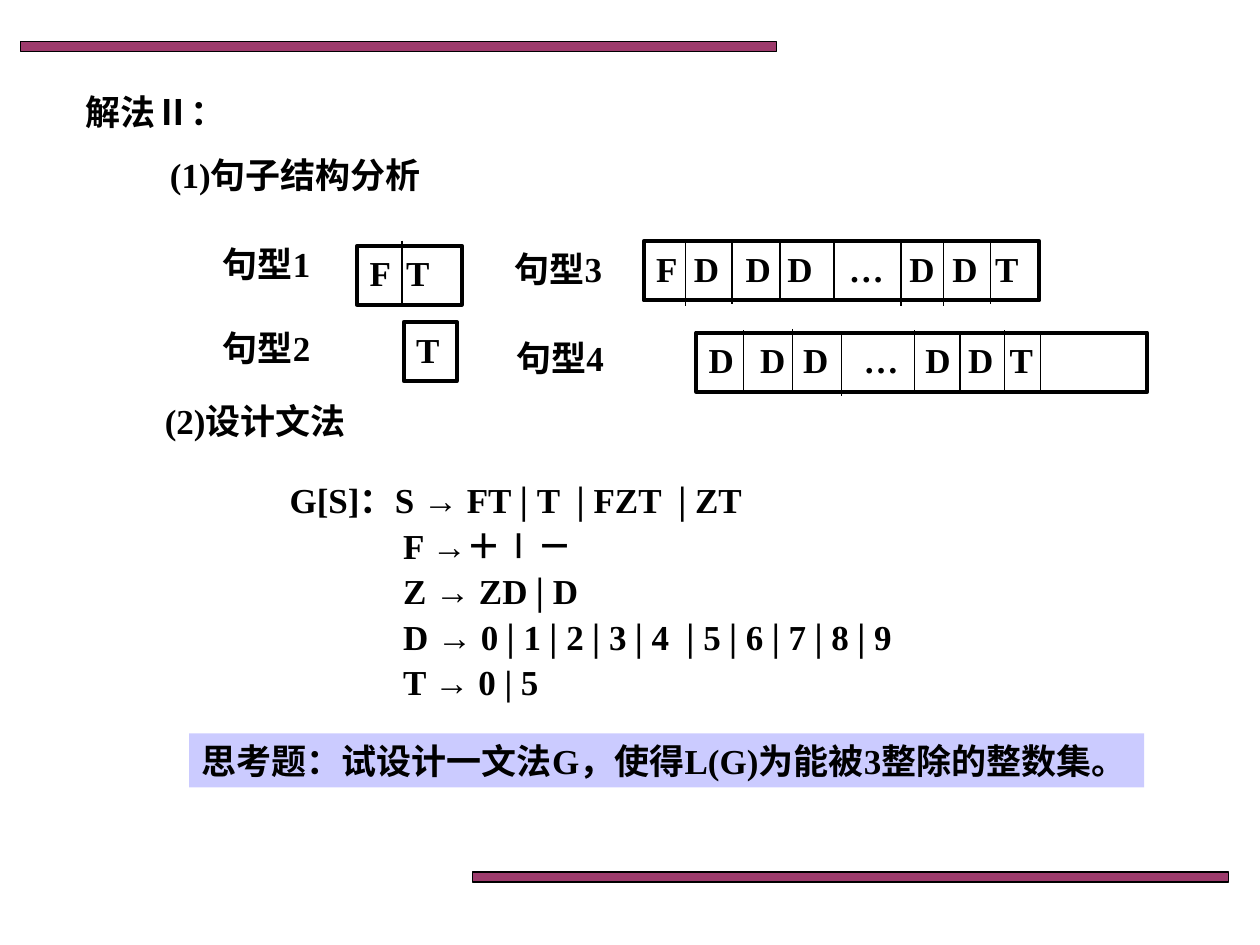
from dataclasses import dataclass

import pptx
import pptx.dml.color
import pptx.enum.shapes
import pptx.enum.text
import pptx.oxml.ns
import pptx.util
from lxml import etree

BLACK = pptx.dml.color.RGBColor(0x00, 0x00, 0x00)
PLUM = pptx.dml.color.RGBColor(0x99, 0x33, 0x66)
LAVENDER = pptx.dml.color.RGBColor(0x99, 0x99, 0xFF)

# The grid has 100 columns and 75 rows of square units
COLUMNS, ROWS = 100, 75
UNIT = pptx.util.Inches(10) // COLUMNS
DIVIDER_ROWS = 5


@dataclass(frozen=True)
class Area:
    column: float
    row: float
    width: float
    height: float = 4.3


@dataclass(frozen=True)
class Label:
    text: str
    area: Area


@dataclass(frozen=True)
class SentencePattern:
    """A row of symbols, tab stops for them and dividers as (column, top row)."""
    label: Label
    symbols: str
    area: Area
    tab_stops: tuple[float, ...] = ()
    dividers: tuple[tuple[float, float], ...] = ()


BARS = (Area(1.65, 3.3, 60, 0.8), Area(37.5, 69.2, 60, 0.8))
HEADINGS = (
    Label("解法Ⅱ：", Area(5.8, 6.7, 14.2)),
    Label("(1)句子结构分析", Area(12.5, 11.7, 31.7)),
    Label("(2)设计文法", Area(12.1, 31.2, 19.6)),
)
PATTERNS = (
    SentencePattern(
        Label("句型1", Area(16.7, 18.75, 11.7)), "F T",
        Area(28.35, 19.5, 8.3, 4.7), (2.9,), ((31.9, 19.1),)),
    SentencePattern(
        Label("句型2", Area(16.7, 25.45, 11.7)), "T", Area(32.05, 25.55, 4.2, 4.7)),
    SentencePattern(
        Label("句型3", Area(39.85, 19.15, 11.7)), "F D D D … D D T",
        Area(51.1, 19.15, 31.4, 4.7), (3, 7.1, 10.4, 15.3, 20.1, 23.5, 26.9),
        ((54.4, 19.3), (58.1, 19.1), (61.9, 19), (66.2, 19),
         (71.5, 19.3), (74.9, 19.3), (78.6, 19.1))),
    SentencePattern(
        Label("句型4", Area(40, 26.25, 11.7)), "D D D … D D T",
        Area(55.25, 26.4, 35.8, 4.7), (4.1, 7.5, 12.3, 17.2, 20.6, 23.9),
        ((59, 26.2), (62.9, 26.1), (66.8, 26.4), (72.6, 26.2),
         (76.2, 26.3), (79.7, 26.2), (82.6, 26.3))),
)
GRAMMAR_AREA = Area(22, 37.5, 57.2, 19)
GRAMMAR_INDENT = 9
GRAMMAR = (
    "G[S]：S → FT∣T ∣FZT ∣ZT",
    "F →＋∣－",
    "Z → ZD∣D",
    "D → 0∣1∣2∣3∣4 ∣5∣6∣7∣8∣9",
    "T → 0 | 5",
)
EXERCISE = Label("思考题：试设计一文法G，使得L(G)为能被3整除的整数集。",
                 Area(15, 58.2, 75.8))


def grid(units: float) -> int:
    return round(units * UNIT)


def place(area: Area) -> tuple[int, ...]:
    return tuple(map(grid, (area.column, area.row, area.width, area.height)))


def add_tab_stops(paragraph, tab_stops: tuple[float, ...]) -> None:
    properties = paragraph._p.get_or_add_pPr()
    tabs = etree.SubElement(properties, pptx.oxml.ns.qn("a:tabLst"))
    for stop in tab_stops:
        etree.SubElement(tabs, pptx.oxml.ns.qn("a:tab"),
                         pos=str(grid(stop)), algn="l")


def style_paragraph(paragraph) -> None:
    paragraph.alignment = pptx.enum.text.PP_ALIGN.LEFT
    paragraph.font.name = "Times New Roman"
    paragraph.font.size = pptx.util.Pt(20)
    paragraph.font.bold = True
    paragraph.font.color.rgb = BLACK


def write(shape, text: str, tab_stops: tuple[float, ...] = ()) -> None:
    frame = shape.text_frame
    frame.word_wrap = True
    frame.vertical_anchor = pptx.enum.text.MSO_ANCHOR.TOP
    frame.text = text
    for paragraph in frame.paragraphs:
        if tab_stops:
            add_tab_stops(paragraph, tab_stops)
        style_paragraph(paragraph)


def add_label(slide, label: Label):
    shape = slide.shapes.add_textbox(*place(label.area))
    write(shape, label.text)
    return shape


def add_rectangle(slide, area: Area, line_width: float = 0,
                  color=None, opacity: int = 100):
    shape = slide.shapes.add_shape(
        pptx.enum.shapes.MSO_SHAPE.RECTANGLE, *place(area))
    shape.shadow.inherit = False
    if color is None:
        shape.fill.background()
    else:
        shape.fill.solid()
        shape.fill.fore_color.rgb = color
        color_element = next(shape.fill._xPr.iter(pptx.oxml.ns.qn("a:srgbClr")))
        etree.SubElement(color_element, pptx.oxml.ns.qn("a:alpha"),
                         val=str(opacity * 1000))
    if line_width:
        shape.line.color.rgb = BLACK
        shape.line.width = pptx.util.Pt(line_width)
    else:
        shape.line.fill.background()
    return shape


def add_divider(slide, column: float, row: float) -> None:
    connector = slide.shapes.add_connector(
        pptx.enum.shapes.MSO_CONNECTOR.STRAIGHT,
        grid(column), grid(row), grid(column), grid(row + DIVIDER_ROWS))
    connector.line.color.rgb = BLACK
    connector.line.width = pptx.util.Pt(0.75)
    etree.SubElement(connector._element.spPr, pptx.oxml.ns.qn("a:effectLst"))


def add_pattern(slide, pattern: SentencePattern) -> None:
    add_label(slide, pattern.label)
    box = add_rectangle(slide, pattern.area, line_width=2.25)
    write(box, pattern.symbols.replace(" ", "\t"), pattern.tab_stops)
    for column, row in pattern.dividers:
        add_divider(slide, column, row)


def add_grammar(slide) -> None:
    shape = add_label(slide, Label("\n".join(GRAMMAR), GRAMMAR_AREA))
    for paragraph in shape.text_frame.paragraphs[1:]:
        paragraph.space_before = pptx.util.Pt(2)
        paragraph._p.get_or_add_pPr().set("marL", str(grid(GRAMMAR_INDENT)))


def main() -> None:
    presentation = pptx.Presentation()
    presentation.slide_width = COLUMNS * UNIT
    presentation.slide_height = ROWS * UNIT
    slide = presentation.slides.add_slide(presentation.slide_layouts[6])

    # Decorative bars
    for area in BARS:
        add_rectangle(slide, area, 0.75, PLUM, opacity=96)

    # Headings and sentence patterns
    for heading in HEADINGS:
        add_label(slide, heading)
    for pattern in PATTERNS:
        add_pattern(slide, pattern)

    # Grammar and closing exercise
    add_grammar(slide)
    exercise = add_rectangle(slide, EXERCISE.area, color=LAVENDER, opacity=50)
    write(exercise, EXERCISE.text)

    presentation.save("out.pptx")


if __name__ == "__main__":
    main()
